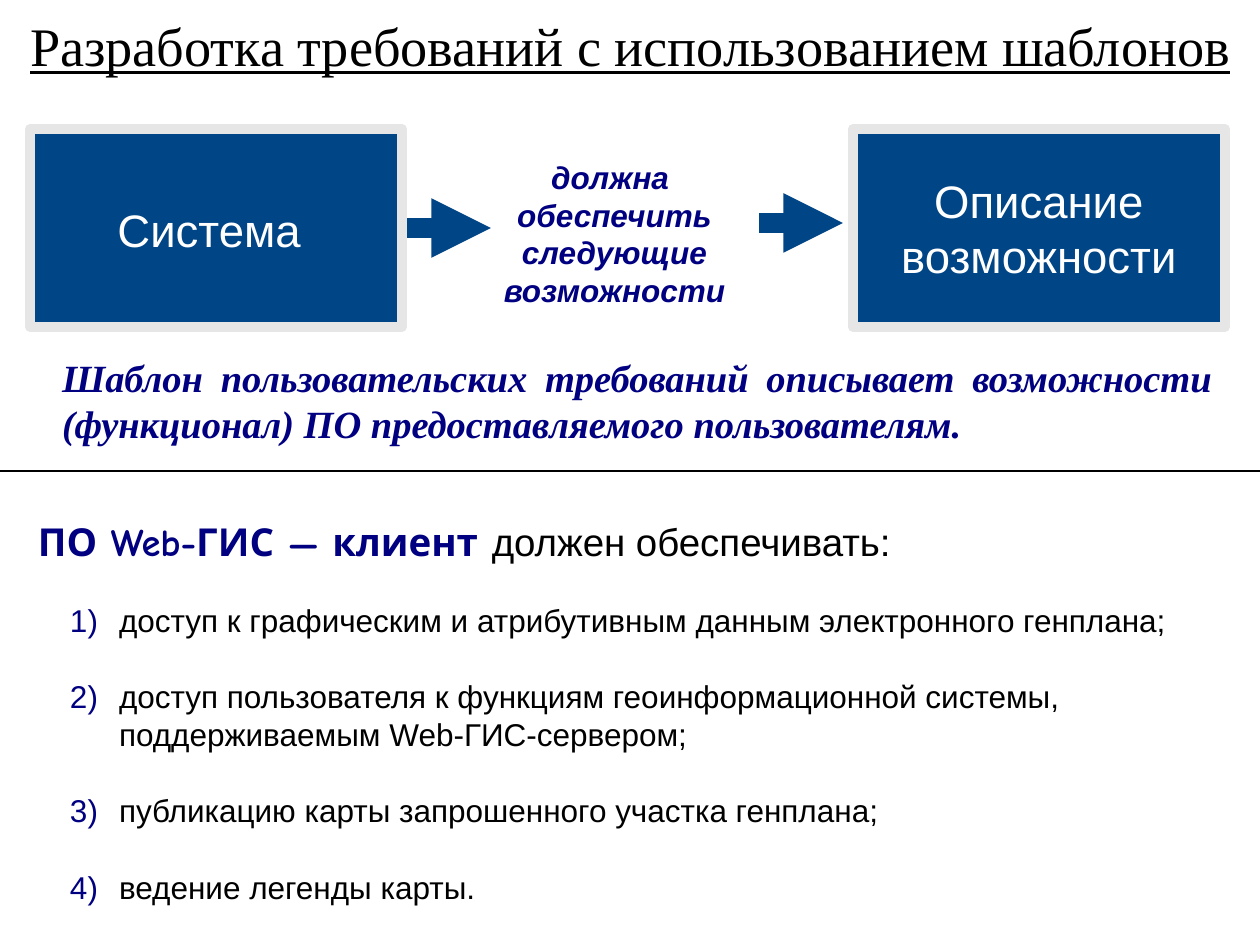
"""Builds a slide on writing requirements from a template."""
from lxml import etree
from pptx import Presentation, util as u
from pptx.dml.color import RGBColor
from pptx.enum import shapes, text
from pptx.oxml import ns

PX = u.Inches(1) / 126
BLACK, WHITE = RGBColor(0, 0, 0), RGBColor(255, 255, 255)
NAVY, BLUE = RGBColor(0, 0, 0x80), RGBColor(0, 0x45, 0x86)
GREY = RGBColor(0xE6, 0xE6, 0xE6)
LEFT, CENTER, JUSTIFY = (text.PP_ALIGN.LEFT, text.PP_ALIGN.CENTER,
                         text.PP_ALIGN.JUSTIFY)
TOP, MIDDLE = text.MSO_ANCHOR.TOP, text.MSO_ANCHOR.MIDDLE

SERIF = dict(name="Times New Roman", size=31, color=BLACK, underline=True)
BLOCK = dict(name="Arial", size=26, color=WHITE)
BLOCK_GAP = dict(BLOCK, size=28)
LINK = dict(name="Arial", size=18, color=NAVY, bold=True, italic=True)
SUMMARY = dict(name="Times New Roman", size=22, color=NAVY, bold=True, italic=True)
SUBJECT = dict(name="Comic Neue", size=22, color=NAVY, bold=True)
VERB = dict(name="Arial", size=22, color=BLACK)
ITEM = dict(name="Arial", size=18, color=BLACK)

TITLE = [[("Разработка требований с использованием шаблонов", SERIF)]]
BLOCKS = [
    (30, [[("Система", BLOCK), (" ", BLOCK_GAP)]]),
    (853, [[("Описание возможности", BLOCK)]]),
]
CAPABILITIES = [
    "доступ к графическим и атрибутивным данным электронного генплана;",
    "доступ пользователя к функциям геоинформационной системы, "
    "поддерживаемым Web-ГИС-сервером;",
    "публикацию карты запрошенного участка генплана;",
    "ведение легенды карты.",
]
TEXTS = [
    ((471, 159, 287, 149), (19, 13), MIDDLE, CENTER,
     [[("должна ", LINK)], [("обеспечить следующие возможности", LINK)]]),
    ((49, 348, 1176, 106), (13, 6), TOP, JUSTIFY,
     [[("Шаблон пользовательских требований описывает возможности "
        "(функционал) ПО предоставляемого пользователям.", SUMMARY)]]),
    ((25, 512, 1176, 59), (13, 6), TOP, JUSTIFY,
     [[("ПО Web-ГИС — клиент ", SUBJECT), ("должен обеспечивать:", VERB)]]),
]
LIST_AREA = (57, 595, 1142, 323)
ARROWS = [(769, 223), (417, 228)]
ARROW_LENGTH = 74


def px(value):
    return u.Emu(round(value * PX))


def add_child(parent, tag, **attributes):
    return etree.SubElement(parent, ns.qn(tag), attributes)


def write(shape, paragraphs, insets, anchor, align):
    frame = shape.text_frame
    frame.word_wrap = True
    frame.auto_size = text.MSO_AUTO_SIZE.NONE
    frame.vertical_anchor = anchor
    frame.margin_left = frame.margin_right = px(insets[0])
    frame.margin_top = frame.margin_bottom = px(insets[1])
    for index, runs in enumerate(paragraphs):
        para = frame.add_paragraph() if index else frame.paragraphs[0]
        para.alignment = align
        for words, style in runs:
            span = para.add_run()
            span.text = words
            span.font.name = style["name"]
            span.font.size = u.Pt(style["size"])
            span.font.color.rgb = style["color"]
            span.font.bold = style.get("bold", False)
            span.font.italic = style.get("italic", False)
            span.font.underline = style.get("underline", False)
    return frame


def add_text(page, area, *content):
    return write(page.shapes.add_textbox(*map(px, area)), *content)


def add_line(page, start, end, color, width):
    line = page.shapes.add_connector(
        shapes.MSO_CONNECTOR.STRAIGHT, *map(px, (*start, *end)))
    line.line.color.rgb = color
    line.line.width = u.Pt(width)
    add_child(line._element.spPr, "a:effectLst")
    return line.line.get_or_add_ln() if hasattr(line.line, "get_or_add_ln") \
        else line.get_or_add_ln()


def number(para):
    properties = para._p.get_or_add_pPr()
    properties.set("marL", str(px(49)))
    properties.set("indent", str(px(-49)))
    color = add_child(properties, "a:buClr")
    add_child(color, "a:srgbClr", val=str(NAVY))
    add_child(properties, "a:buFont", typeface="Arial")
    add_child(properties, "a:buAutoNum", type="arabicParenR")


def main():
    deck = Presentation()
    deck.slide_width, deck.slide_height = px(1260), px(945)
    page = deck.slides.add_slide(deck.slide_layouts[5])

    title = page.shapes.title
    title.left, title.top, title.width, title.height = map(px, (0, -5, 1260, 100))
    write(title, TITLE, (3, 3), MIDDLE, CENTER)

    for left, paragraphs in BLOCKS:
        box = page.shapes.add_shape(
            shapes.MSO_SHAPE.RECTANGLE, *map(px, (left, 129, 372, 198)))
        box.shadow.inherit = False
        box.fill.solid()
        box.fill.fore_color.rgb = BLUE
        box.line.color.rgb = GREY
        box.line.width = u.Pt(5.67)
        add_child(box.get_or_add_ln(), "a:round")
        write(box, paragraphs, (19, 13), MIDDLE, CENTER)

    for area, *content in TEXTS:
        insets, anchor, align, paragraphs = content
        add_text(page, area, paragraphs, insets, anchor, align)

    for left, middle in ARROWS:
        outline = add_line(page, (left, middle), (left + ARROW_LENGTH, middle),
                           BLUE, 11.34)
        outline.set("cap", "sq")
        add_child(outline, "a:tailEnd", type="triangle")
    add_line(page, (0, 471), (1260, 471), BLACK, 0.75)

    items = [[(words, ITEM)] for words in CAPABILITIES]
    frame = add_text(page, LIST_AREA, items, (13, 6), TOP, LEFT)
    for index, para in enumerate(frame.paragraphs):
        para.space_before = u.Pt(12 if index else 0)
        para.space_after = u.Pt(10)
        number(para)

    deck.save("out.pptx")


if __name__ == "__main__":
    main()
